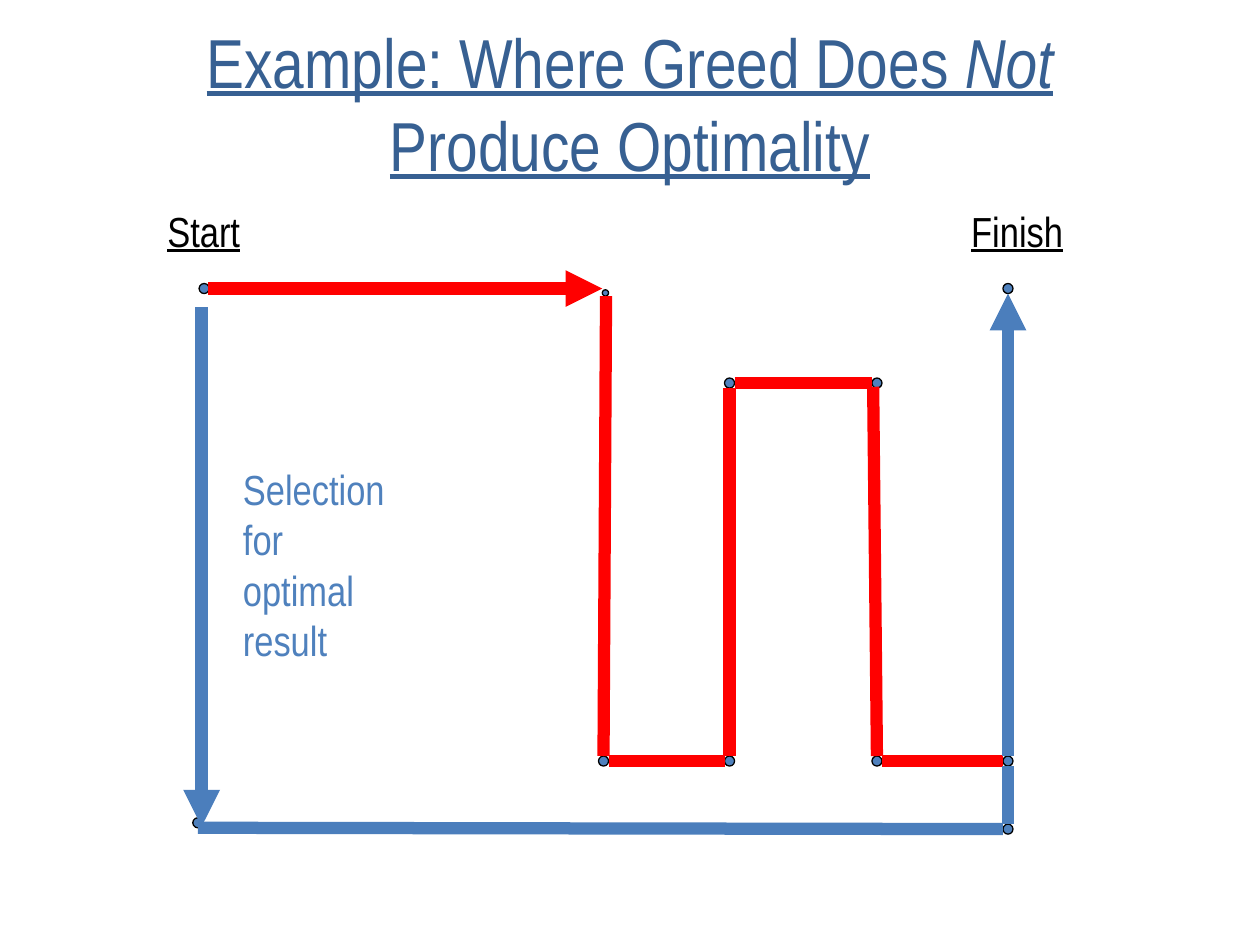
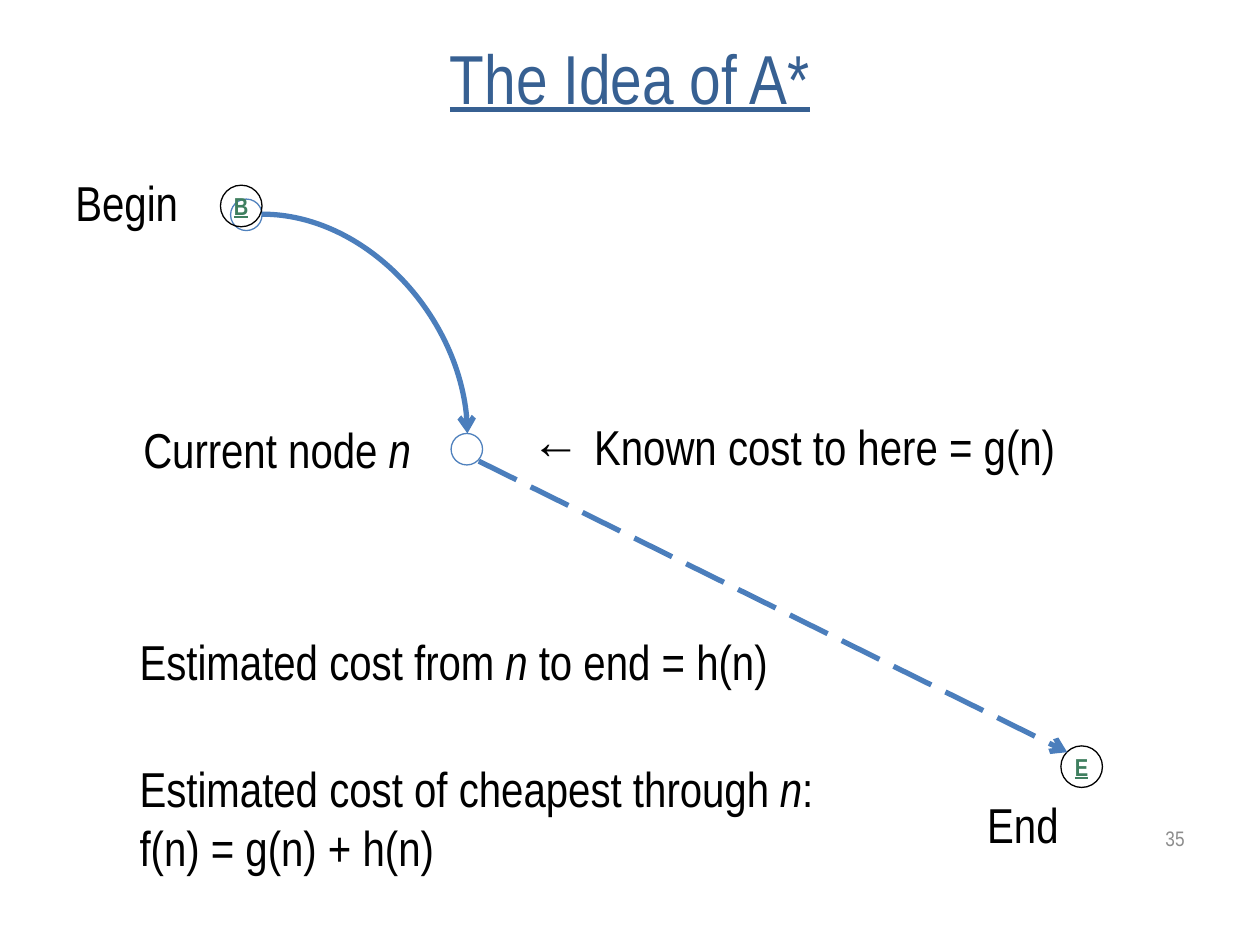
"""Builds two slides on greedy search and the idea of A*."""
import lxml.etree
import pptx
import pptx.dml.color
import pptx.enum.dml
import pptx.enum.shapes
import pptx.enum.text
import pptx.oxml.ns
import pptx.util

RGB = pptx.dml.color.RGBColor
BLACK = RGB(0x00, 0x00, 0x00)
WHITE = RGB(0xFF, 0xFF, 0xFF)
RED = RGB(0xFF, 0x00, 0x00)
TITLE_BLUE = RGB(0x37, 0x60, 0x92)
DOT_BLUE = RGB(0x4F, 0x81, 0xBD)
LINE_BLUE = RGB(0x4B, 0x7E, 0xBC)
GREEN = RGB(0x3F, 0x7F, 0x5F)
GREY = RGB(0x8C, 0x8C, 0x8C)
FONT = "Arial Narrow"
ALIGN = pptx.enum.text.PP_ALIGN
MIDDLE = pptx.enum.text.MSO_ANCHOR.MIDDLE
FIT = pptx.enum.text.MSO_AUTO_SIZE.SHAPE_TO_FIT_TEXT
OVAL = pptx.enum.shapes.MSO_SHAPE.OVAL
CONNECTOR = pptx.enum.shapes.MSO_CONNECTOR

prs = pptx.Presentation()
prs.slide_width = pptx.util.Inches(10)
prs.slide_height = pptx.util.Inches(7.5)
COL = prs.slide_width // 100
ROW = prs.slide_height // 75


def write(sp, paragraphs, size, color, align=ALIGN.LEFT, wrap=False,
          underline=False, bold=False):
    """Fill a shape with paragraphs of runs; every second run is italic."""
    tf = sp.text_frame
    tf.word_wrap = wrap
    for i, runs in enumerate(paragraphs):
        p = tf.add_paragraph() if i else tf.paragraphs[0]
        p.alignment = align
        for j, text in enumerate(runs):
            r = p.add_run()
            r.text = text
            r.font.name = FONT
            r.font.size = pptx.util.Pt(size)
            r.font.color.rgb = color
            r.font.italic = j % 2 == 1
            r.font.underline = underline
            r.font.bold = bold
    return tf


def connect(slide, x1, y1, x2, y2, color, width, arrow=None, dash=None,
            kind=CONNECTOR.STRAIGHT):
    """Draw a connector between two grid points."""
    sp = slide.shapes.add_connector(
        kind, int(x1 * COL), int(y1 * ROW), int(x2 * COL), int(y2 * ROW))
    sp.line.color.rgb = color
    sp.line.width = pptx.util.Pt(width)
    if dash:
        sp.line.dash_style = dash
    if arrow:
        lxml.etree.SubElement(sp.line.fill._xPr, pptx.oxml.ns.qn("a:tailEnd"), type=arrow)
    lxml.etree.SubElement(sp.element.spPr, pptx.oxml.ns.qn("a:effectLst"))
    return sp


titles = [
    (12.3, 0.7, 75.4, 14.8, ["Example: Where Greed Does ", "Not", " Produce Optimality"]),
    (5, 3, 90, 6.2, ["The Idea of A*"]),
]
slides = []
for x, y, w, h, runs in titles:
    slide = prs.slides.add_slide(prs.slide_layouts[6])
    slides.append(slide)
    sp = slide.shapes.add_textbox(int(x * COL), int(y * ROW), int(w * COL), int(h * ROW))
    tf = write(sp, [runs], 39.6, TITLE_BLUE, ALIGN.CENTER, wrap=True, underline=True)
    tf.vertical_anchor = MIDDLE
greedy, astar = slides

dots = [
    (16.2, 22.9, 0.8), (48.05, 23.25, 0.5), (80, 22.9, 0.8),
    (57.9, 30.4, 0.8), (69.6, 30.4, 0.8),
    (47.9, 60.4, 0.8), (57.9, 60.4, 0.8), (69.6, 60.4, 0.8), (80, 60.4, 0.8),
    (15.7, 65.3, 0.8), (80, 65.8, 0.8),
]
for x, y, d in dots:
    sp = greedy.shapes.add_shape(
        OVAL, int((x - d / 2) * COL), int((y - d / 2) * ROW), int(d * COL), int(d * ROW))
    sp.shadow.inherit = False
    sp.fill.solid()
    sp.fill.fore_color.rgb = DOT_BLUE
    sp.line.color.rgb = BLACK
    sp.line.width = pptx.util.Pt(0.75)

routes = [
    (RED, [
        (16.5, 22.9, 47.8, 22.9, "triangle"), (48.1, 23.5, 47.9, 60, None),
        (57.5, 60.4, 48.3, 60.4, None), (57.9, 30.8, 57.9, 60, None),
        (58.3, 30.4, 69.2, 30.4, None), (69.6, 60, 69.3, 30.7, None),
        (70, 60.4, 79.6, 60.4, None)]),
    (LINE_BLUE, [
        (16, 24.4, 16, 65.6, "triangle"), (15.7, 65.7, 79.6, 65.8, None),
        (80, 65.4, 80, 60.8, None), (80, 60, 80, 23.3, "triangle")]),
]
for color, legs in routes:
    for x1, y1, x2, y2, arrow in legs:
        connect(greedy, x1, y1, x2, y2, color, 7, arrow)

rings = [
    (18.3, 15.8, 2.5, DOT_BLUE, None),
    (35.8, 34.4, 2.5, DOT_BLUE, None),
    (84.2, 59.2, 3.3, BLACK, "E"),
    (17.5, 14.7, 3.3, BLACK, "B"),
]
for x, y, d, color, label in rings:
    sp = astar.shapes.add_shape(OVAL, int(x * COL), int(y * ROW), int(d * COL), int(d * ROW))
    sp.shadow.inherit = False
    sp.fill.background()
    sp.line.color.rgb = color
    sp.line.width = pptx.util.Pt(0.75)
    if label:
        tf = write(sp, [[label]], 14, GREEN, ALIGN.CENTER, underline=True, bold=True)
        tf.margin_left = tf.margin_right = tf.margin_top = tf.margin_bottom = 0
        tf.vertical_anchor = MIDDLE

sp = connect(astar, 20.8, 17, 37.1, 34.4, LINE_BLUE, 3, "arrow", kind=CONNECTOR.CURVE)
sp.element.spPr.find(pptx.oxml.ns.qn("a:prstGeom")).set("prst", "curvedConnector2")
connect(astar, 38, 36.6, 84.7, 59.7, LINE_BLUE, 3, "arrow",
        pptx.enum.dml.MSO_LINE.LONG_DASH)

labels = [
    (greedy, 12.3, 15.8, 7.9, 5, [["Start"]], 24, BLACK, ALIGN.LEFT, False, True),
    (greedy, 76.1, 15.8, 9.4, 5, [["Finish"]], 24, BLACK, ALIGN.LEFT, False, True),
    (greedy, 18.3, 36.3, 13.4, 17.2, [["Selection"], ["for"], ["optimal"], ["result"]],
     24, DOT_BLUE, ALIGN.LEFT, False, False),
    (astar, 10.1, 59.7, 63, 10.4,
     [["Estimated cost of cheapest through ", "n", ":"], ["f(n) = g(n) + h(n)"]],
     28, BLACK, ALIGN.LEFT, True, False),
    (astar, 41.2, 32.6, 43.7, 5.7, [["← Known cost to here = g(n)"]],
     28, BLACK, ALIGN.LEFT, False, False),
    (astar, 5, 13.2, 10.3, 5.7, [["Begin"]], 28, BLACK, ALIGN.LEFT, False, False),
    (astar, 77.2, 62.6, 7.8, 5.7, [["End"]], 28, BLACK, ALIGN.RIGHT, False, False),
    (astar, 10.1, 32.8, 23.5, 5.7, [["Current node ", "n"]],
     28, BLACK, ALIGN.RIGHT, False, False),
    (astar, 10.1, 49.6, 52.4, 5.7, [["Estimated cost from ", "n", " to end = h(n)"]],
     28, BLACK, ALIGN.JUSTIFY, False, False),
]
for slide, x, y, w, h, paragraphs, size, color, align, wrap, underline in labels:
    sp = slide.shapes.add_textbox(int(x * COL), int(y * ROW), int(w * COL), int(h * ROW))
    tf = write(sp, paragraphs, size, color, align, wrap, underline)
    tf.auto_size = FIT
sp.fill.solid()
sp.fill.fore_color.rgb = WHITE

sp = astar.shapes.add_textbox(int(71.7 * COL), int(65.2 * ROW), int(23.3 * COL), int(2.7 * ROW))
tf = write(sp, [["35"]], 12, GREY, ALIGN.RIGHT, wrap=True)
tf.vertical_anchor = MIDDLE

prs.save("out.pptx")
